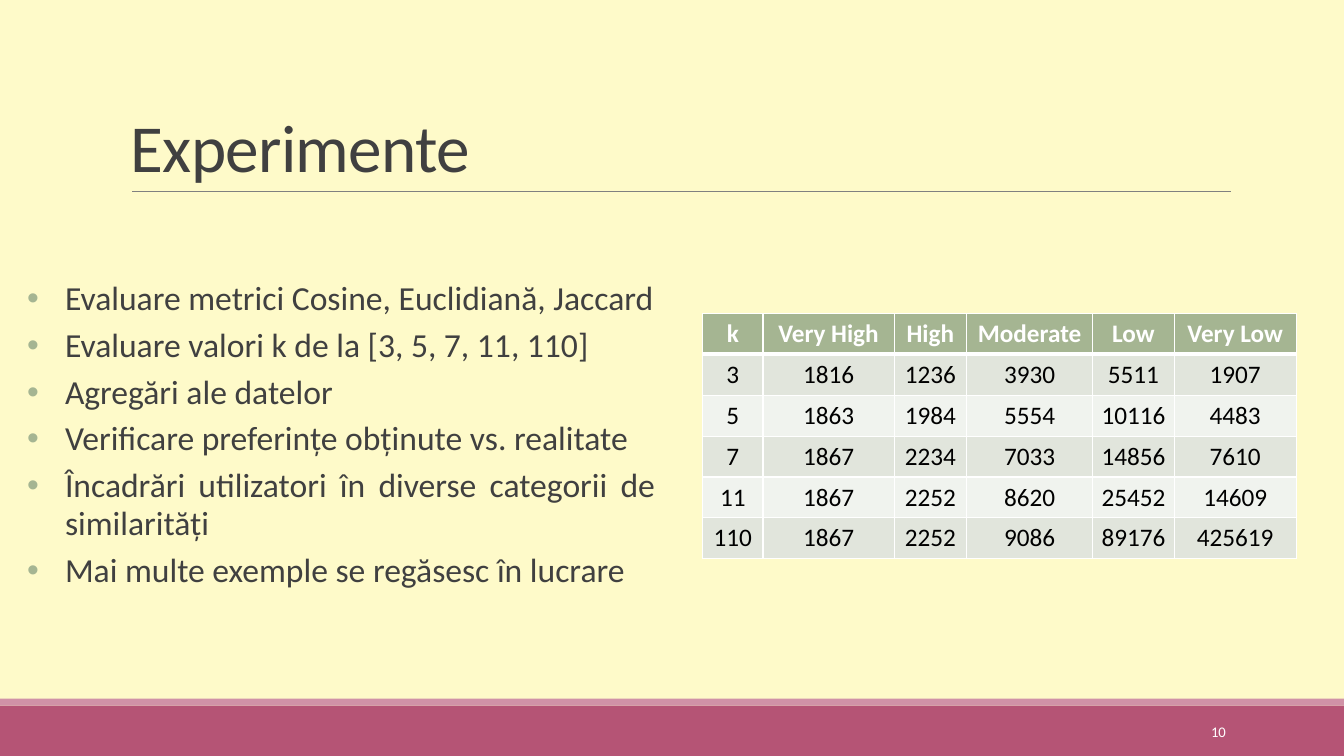
from lxml import etree
from pptx import Presentation
from pptx.dml.color import RGBColor
from pptx.enum import shapes, text
from pptx.oxml import ns
from pptx.util import Pt

FONT = "Calibri"
DARK, WHITE, BLACK, SAGE = "404040", "FFFFFF", "000000", "A5B592"
BANDS = ["E1E5DC", "F0F3EE"]

POINTS = [
    "Evaluare metrici Cosine, Euclidiană, Jaccard",
    "Evaluare valori k de la [3, 5, 7, 11, 110]",
    "Agregări ale datelor",
    "Verificare preferințe obținute vs. realitate",
    "Încadrări utilizatori în diverse categorii de similarități",
    "Mai multe exemple se regăsesc în lucrare",
]
SIMILARITIES = [
    ["k", "Very High", "High", "Moderate", "Low", "Very Low"],
    [3, 1816, 1236, 3930, 5511, 1907],
    [5, 1863, 1984, 5554, 10116, 4483],
    [7, 1867, 2234, 7033, 14856, 7610],
    [11, 1867, 2252, 8620, 25452, 14609],
    [110, 1867, 2252, 9086, 89176, 425619],
]
COLUMN_WIDTHS = [43.2, 93.6, 51.84, 90, 58.32, 87.12]
ROW_HEIGHT = 29.2


def color(hex_code):
    return RGBColor.from_string(hex_code)


def add_child(parent, tag, **attributes):
    child = etree.SubElement(parent, ns.qn(tag))
    for name, value in attributes.items():
        child.set(name, str(value))
    return child


def style(paragraph, size, hex_code, align, bold=False):
    paragraph.alignment = align
    font = paragraph.font
    font.name, font.size, font.bold = FONT, Pt(size), bold
    font.color.rgb = color(hex_code)


def add_band(slide, top, height, fill):
    band = slide.shapes.add_shape(
        shapes.MSO_SHAPE.RECTANGLE, 0, Pt(top), Pt(960), Pt(height))
    band.shadow.inherit = False
    band.fill.solid()
    band.fill.fore_color.rgb = color(fill)
    band.line.fill.background()


def add_rule(slide, left, right, y):
    rule = slide.shapes.add_connector(
        shapes.MSO_CONNECTOR.STRAIGHT, Pt(left), Pt(y), Pt(right), Pt(y))
    rule.line.color.rgb = color("808080")
    rule.line.width = Pt(0.5)
    add_child(rule._element.spPr, "a:effectLst")


def add_text(slide, left, top, width, height, anchor):
    frame = slide.shapes.add_textbox(
        Pt(left), Pt(top), Pt(width), Pt(height)).text_frame
    frame.word_wrap = True
    frame.vertical_anchor = anchor
    return frame


def add_title(slide, wording):
    frame = add_text(slide, 86.4, 22.32, 792, 114.48, text.MSO_ANCHOR.BOTTOM)
    title = frame.paragraphs[0]
    title.text = wording
    title.line_spacing = 0.85
    style(title, 48, DARK, text.PP_ALIGN.LEFT)
    title.runs[0]._r.get_or_add_rPr().set("spc", "-50")


def add_bullets(slide, points):
    frame = add_text(slide, 19.44, 196.56, 448.56, 229.68, text.MSO_ANCHOR.TOP)
    frame.margin_left = frame.margin_right = 0
    for number, point in enumerate(points):
        item = frame.paragraphs[0] if number == 0 else frame.add_paragraph()
        item.text = point
        item.line_spacing = 0.95
        item.space_after = Pt(6)
        # Hanging bullet, which must precede the font settings
        properties = item._p.get_or_add_pPr()
        properties.set("marL", str(Pt(27)))
        properties.set("indent", str(Pt(-27)))
        add_child(add_child(properties, "a:buClr"), "a:srgbClr", val=SAGE)
        add_child(properties, "a:buFont", typeface="Arial")
        add_child(properties, "a:buChar", char="•")
        style(item, 24, DARK, text.PP_ALIGN.JUSTIFY)


def add_borders(cell, row):
    properties = cell._tc.get_or_add_tcPr()
    widths = {"L": 1, "R": 1, "T": 3 if row == 1 else 1,
              "B": 3 if row == 0 else 1}
    for side, width in widths.items():
        edge = add_child(properties, f"a:ln{side}", w=Pt(width))
        add_child(add_child(edge, "a:solidFill"), "a:srgbClr", val=WHITE)


def fill_cell(cell, value, row, column):
    header = row == 0
    add_borders(cell, row)
    cell.fill.solid()
    cell.fill.fore_color.rgb = color(SAGE if header else BANDS[(row - 1) % 2])
    if not header and column > 0:
        cell.vertical_anchor = text.MSO_ANCHOR.MIDDLE
        cell.margin_left = cell.margin_right = Pt(5)
        cell.margin_top = cell.margin_bottom = 0
    entry = cell.text_frame.paragraphs[0]
    entry.text = str(value)
    style(entry, 18, WHITE if header else BLACK, text.PP_ALIGN.CENTER, header)


def add_similarity_table(slide, rows):
    table = slide.shapes.add_table(
        len(rows), len(COLUMN_WIDTHS), Pt(501.84), Pt(223.92),
        Pt(sum(COLUMN_WIDTHS)), Pt(ROW_HEIGHT * len(rows))).table
    for column, width in zip(table.columns, COLUMN_WIDTHS):
        column.width = Pt(width)
    for r, values in enumerate(rows):
        table.rows[r].height = Pt(ROW_HEIGHT)
        for c, value in enumerate(values):
            fill_cell(table.cell(r, c), value, r, c)


def add_page_number(slide, number):
    frame = add_text(slide, 779.76, 508.32, 102.96, 28.8,
                     text.MSO_ANCHOR.MIDDLE)
    page = frame.paragraphs[0]
    page.text = number
    style(page, 10.5, WHITE, text.PP_ALIGN.RIGHT)


def main():
    deck = Presentation()
    deck.slide_width, deck.slide_height = Pt(960), Pt(540)
    slide = deck.slides.add_slide(deck.slide_layouts[6])
    slide.background.fill.solid()
    slide.background.fill.fore_color.rgb = color("FEFAC9")

    # Footer bands and title rule
    add_band(slide, 504, 36, "B55475")
    add_band(slide, 499, 5, "D092A7")
    add_rule(slide, 94.32, 879.12, 136.8)

    # Content
    add_title(slide, "Experimente")
    add_bullets(slide, POINTS)
    add_page_number(slide, "10")
    add_similarity_table(slide, SIMILARITIES)

    deck.save("out.pptx")


if __name__ == "__main__":
    main()
